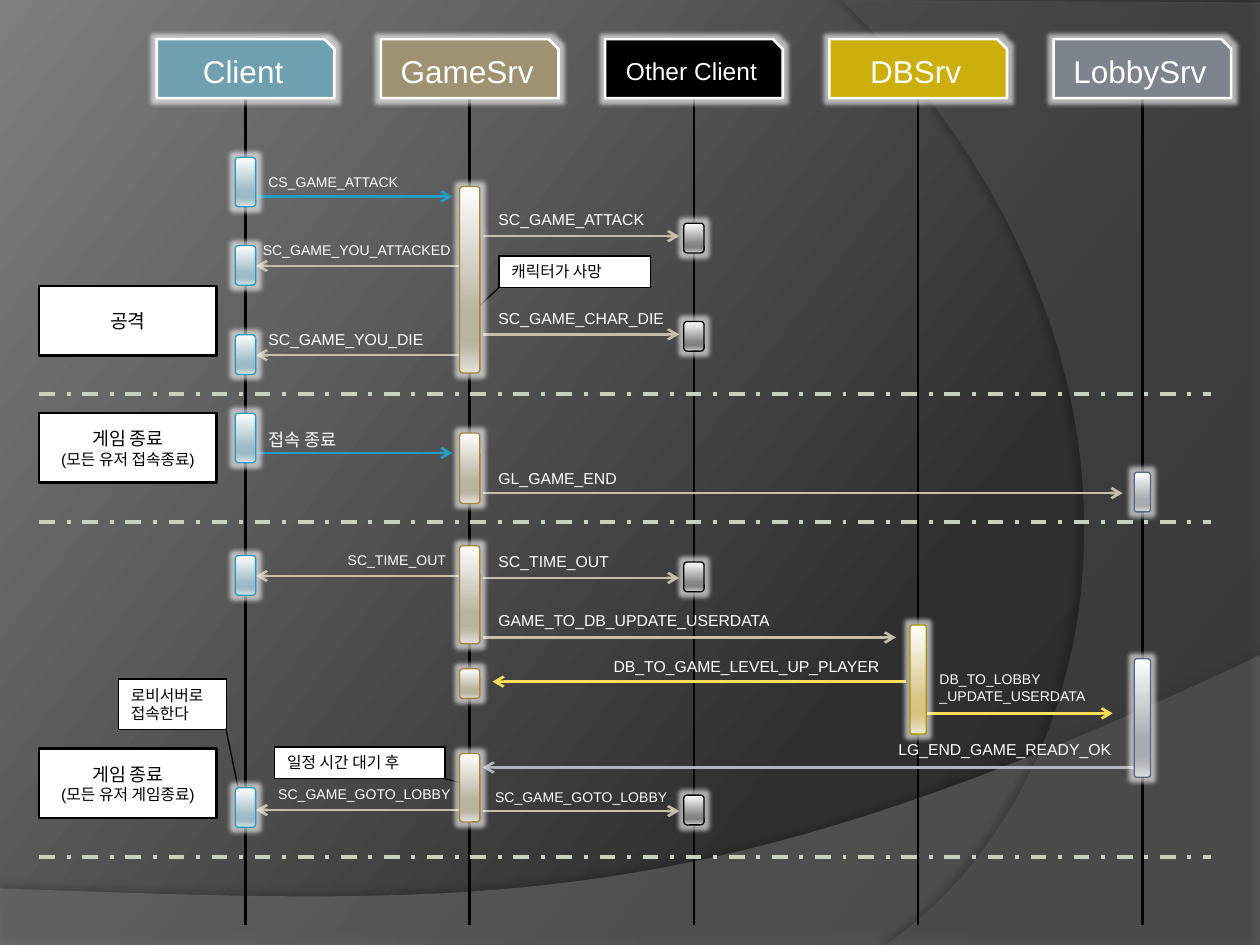
from pptx import Presentation
from pptx.dml.color import RGBColor
from pptx.enum.dml import MSO_LINE
from pptx.enum.shapes import MSO_CONNECTOR, MSO_SHAPE
from pptx.enum.text import MSO_ANCHOR, MSO_AUTO_SIZE, PP_ALIGN
from pptx.oxml import parse_xml
from pptx.oxml.ns import nsdecls, qn
from pptx.util import Cm, Pt

COLORS = {
    "white": "FFFFFF", "black": "000000", "separator": "C8D0BE",
    "client": "239BC2", "game": "C5BEAB", "db": "F7DF56", "lobby": "B2B5BB",
    "wave": "7F7F7F", "side": "5E5E5E",
}
NS = nsdecls("a")


def write(shape, text, size=9, sizes=None, color="white", align=PP_ALIGN.LEFT,
          anchor=MSO_ANCHOR.TOP, wrap=True, grow=False):
    frame = shape.text_frame
    frame.word_wrap = wrap
    frame.vertical_anchor = anchor
    if grow:
        frame.auto_size = MSO_AUTO_SIZE.SHAPE_TO_FIT_TEXT
    for i, part in enumerate(text.split("\n")):
        paragraph = frame.paragraphs[0] if i == 0 else frame.add_paragraph()
        paragraph.alignment = align
        run = paragraph.add_run()
        run.text = part
        run.font.name = "Arial"
        run.font.size = Pt(sizes[i] if sizes else size)
        run.font.color.rgb = RGBColor.from_string(COLORS[color])


def set_gradient(fill, element, stops, angle):
    fill.gradient()
    fill.gradient_angle = angle
    stop_list = element.find(".//" + qn("a:gsLst"))
    for stop in list(stop_list):
        stop_list.remove(stop)
    for position, color in stops:
        stop_list.append(parse_xml(
            f'<a:gs {NS} pos="{position * 1000}"><a:srgbClr val="{color}"/></a:gs>'))


prs = Presentation()
prs.slide_width, prs.slide_height = Cm(25.4), Cm(19.05)
slide = prs.slides.add_slide(prs.slide_layouts[6])
shapes = slide.shapes

# Background with two translucent curved areas
set_gradient(slide.background.fill, slide._element,
             [(0, "282828"), (30, "2F2F2F"), (100, "7E7E7E")], 143)
areas = [
    ("wave", 45, [(25.4, 13.21), (14.2, 18.52), (9.93, 18.26), (0, 17.91)],
     [(0, 19.05), (25.4, 19.05)], 35, 270),
    ("side", 40, [(17.86, 19.05), (22.63, 15.72), (24.05, 6.99), (16.97, 0)],
     [(25.4, 0.05), (25.4, 19.05)], 45, 180),
]
for color, alpha, curve, corners, shade, direction in areas:
    outline = []
    for step in range(41):
        t = step / 40
        weights = ((1 - t) ** 3, 3 * t * (1 - t) ** 2, 3 * t * t * (1 - t), t ** 3)
        outline.append([Cm(sum(w * p[axis] for w, p in zip(weights, curve)))
                        for axis in (0, 1)])
    outline += [(Cm(x), Cm(y)) for x, y in corners]
    builder = shapes.build_freeform(*outline[0])
    builder.add_line_segments(outline[1:], close=True)
    area = builder.convert_to_shape()
    area.fill.solid()
    area.fill.fore_color.rgb = RGBColor.from_string(COLORS[color])
    area.line.fill.background()
    area.shadow.inherit = False
    properties = area._element.spPr
    properties.find(qn("a:solidFill"))[0].append(
        parse_xml(f'<a:alpha {NS} val="{alpha * 1000}"/>'))
    properties.find(qn("a:effectLst")).append(parse_xml(
        f'<a:outerShdw {NS} blurRad="50800" dist="44450" dir="{direction * 60000}">'
        f'<a:srgbClr val="000000"><a:alpha val="{shade * 1000}"/></a:srgbClr></a:outerShdw>'))

# White boxes: remarks with a leader, and the names of the stages
remarks = [
    (2.39, 13.69, 2.18, 1.02, (0.978, 0.993, 2.228, 1.114), "로비서버로\n접속한다"),
    (5.54, 15.06, 3.43, 0.64, (0.994, 0.993, 1.141, 1.107), "일정 시간 대기 후"),
    (10.06, 5.16, 3.05, 0.64, (0.994, 0, 1.599, -0.135), "캐릭터가 사망"),
]
stages = [
    (0.79, 5.77, 3.58, 1.4, None, "공격"),
    (0.79, 8.33, 3.58, 1.4, None, "게임 종료\n(모든 유저 접속종료)"),
    (0.79, 15.09, 3.58, 1.4, None, "게임 종료\n(모든 유저 게임종료)"),
]
for left, top, width, height, leader, text in remarks + stages:
    kind = MSO_SHAPE.LINE_CALLOUT_1 if leader else MSO_SHAPE.RECTANGLE
    box = shapes.add_shape(kind, Cm(left), Cm(top), Cm(width), Cm(height))
    box.shadow.inherit = False
    box.fill.solid()
    box.fill.fore_color.rgb = RGBColor.from_string(COLORS["white"])
    box.line.color.rgb = RGBColor.from_string(COLORS["black"])
    box.line.width = Pt(0.75 if leader else 1.5)
    if leader:
        for i, value in enumerate(leader):
            box.adjustments[i] = value
        write(box, text, color="black", grow=True)
    else:
        write(box, text, sizes=(10.5, 9) if "\n" in text else (11,), color="black",
              align=PP_ALIGN.CENTER, anchor=MSO_ANCHOR.MIDDLE)

# Lanes: name, size, header fill, bar edge, bar width, bar shades, bars (top, height)
lanes = [
    ("Client", 18, "6EA0B0", "239BC2", 0.41,
     ("FEFEFE", "A0BCC6", "9CB9C4", "A7C0C9", "DAE4E7"),
     [(3.17, 1), (4.95, 0.8), (6.75, 0.8), (8.33, 1), (11.2, 0.8), (15.88, 0.8)]),
    ("GameSrv", 18, "9E9273", "A1843A", 0.41,
     ("FEFEFE", "BAB3A2", "B8B19F", "BFB8A9", "E3E1DB"),
     [(3.76, 3.76), (8.73, 1.42), (11, 1.98), (13.48, 0.6), (15.19, 1.38)]),
    ("Other Client", 14, "000000", "000000", 0.41,
     ("FEFEFE", "878787", "818181", "909090", "D3D3D3"),
     [(4.5, 0.6), (6.48, 0.6), (11.33, 0.6), (16.03, 0.6)]),
    ("DBSrv", 18, "CCAF0A", "AB9200", 0.33,
     ("FFFEFE", "D9C587", "D8C381", "DBC990", "EFE7D3"), [(12.6, 2.2)]),
    ("LobbySrv", 18, "7E848D", "59677D", 0.33,
     ("FEFEFE", "A8ABB0", "A5A8AD", "AEB1B5", "DDDEE0"),
     [(9.52, 0.8), (13.28, 2.39)]),
]
centers = [4.95 + 4.52 * i for i in range(len(lanes))]

# Messages: colour, from x, to x, y, then label left, top, width, size, text
messages = [
    ("client", 5.16, 9.12, 3.96, 5.16, 3.38, 3.2, 8, "CS_GAME_ATTACK"),
    ("game", 9.73, 13.69, 4.76, 9.8, 4.11, 3.53, 9, "SC_GAME_ATTACK"),
    ("game", 9.32, 5.16, 5.36, 5.05, 4.75, 4.37, 8, "SC_GAME_YOU_ATTACKED"),
    ("game", 9.73, 13.69, 6.74, 9.8, 6.1, 3.89, 9, "SC_GAME_CHAR_DIE"),
    ("game", 9.32, 5.16, 7.16, 5.16, 6.53, 3.66, 9, "SC_GAME_YOU_DIE"),
    ("client", 5.16, 9.12, 9.13, 5.16, 8.53, 2.03, 10, "접속 종료"),
    ("game", 9.73, 22.63, 9.94, 9.8, 9.32, 2.92, 9, "GL_GAME_END"),
    ("game", 9.32, 5.16, 11.61, 6.76, 11, 2.51, 8, "SC_TIME_OUT"),
    ("game", 9.73, 13.69, 11.65, 9.8, 11, 2.77, 9, "SC_TIME_OUT"),
    ("game", 9.73, 18.06, 12.85, 9.8, 12.19, 6.1, 9, "GAME_TO_DB_UPDATE_USERDATA"),
    ("db", 18.26, 9.93, 13.74, 12.12, 13.11, 5.94, 9, "DB_TO_GAME_LEVEL_UP_PLAYER"),
    ("db", 18.64, 22.43, 14.38, 18.69, 13.39, 3.56, 8, "DB_TO_LOBBY\n_UPDATE_USERDATA"),
    ("lobby", 22.86, 9.73, 15.47, 17.86, 14.78, 4.85, 9, "LG_END_GAME_READY_OK"),
    ("game", 9.32, 5.16, 16.33, 5.36, 15.72, 4.04, 8, "SC_GAME_GOTO_LOBBY"),
    ("game", 9.73, 13.69, 16.35, 9.73, 15.77, 4.04, 8, "SC_GAME_GOTO_LOBBY"),
]

# Lifelines, stage separators and message arrows
links = [("black", x, 1.98, x, 18.64, 1.5) for x in centers]
links += [("separator", 0.79, y, 24.41, y, 2.25) for y in (7.94, 10.52, 17.27)]
links += [(color, x1, y, x2, y, 1.5) for color, x1, x2, y, *_ in messages]
for color, x1, y1, x2, y2, weight in links:
    link = shapes.add_connector(MSO_CONNECTOR.STRAIGHT, Cm(x1), Cm(y1), Cm(x2), Cm(y2))
    link.line.color.rgb = RGBColor.from_string(COLORS[color])
    link.line.width = Pt(weight)
    if color == "separator":
        link.line.dash_style = MSO_LINE.DASH_DOT
    elif color != "black":
        link.line._get_or_add_ln().append(parse_xml(f'<a:tailEnd {NS} type="arrow"/>'))
    link._element.spPr.append(parse_xml(f"<a:effectLst {NS}/>"))

# Headers and activation bars, each with a white glow
for center, (name, size, header_fill, edge, bar_width, shades, bars) in zip(centers, lanes):
    for top, height in [(0.79, 1.19)] + bars:
        is_header = top == 0.79
        width = 3.58 if is_header else bar_width
        kind = MSO_SHAPE.SNIP_1_RECTANGLE if is_header else MSO_SHAPE.ROUNDED_RECTANGLE
        block = shapes.add_shape(kind, Cm(center - width / 2), Cm(top), Cm(width), Cm(height))
        block.shadow.inherit = False
        block._element.spPr.find(qn("a:effectLst")).append(parse_xml(
            f'<a:glow {NS} rad="63500"><a:srgbClr val="FFFFFF">'
            '<a:alpha val="60000"/></a:srgbClr></a:glow>'))
        block.line.color.rgb = RGBColor.from_string(COLORS["white"] if is_header else edge)
        block.line.width = Pt(1.5 if is_header else 0.75)
        if is_header:
            block.fill.solid()
            block.fill.fore_color.rgb = RGBColor.from_string(header_fill)
            write(block, name, size=size, align=PP_ALIGN.CENTER, anchor=MSO_ANCHOR.MIDDLE)
        else:
            set_gradient(block.fill, block._element,
                         zip((0, 68, 81, 86, 100), shades), 270)

# Message labels
for *_, left, top, width, size, text in messages:
    height = 0.94 if "\n" in text else {8: 0.6, 9: 0.64, 10: 0.68}[size]
    label = shapes.add_textbox(Cm(left), Cm(top), Cm(width), Cm(height))
    write(label, text, size=size, wrap=False, grow=True)

prs.save("out.pptx")
